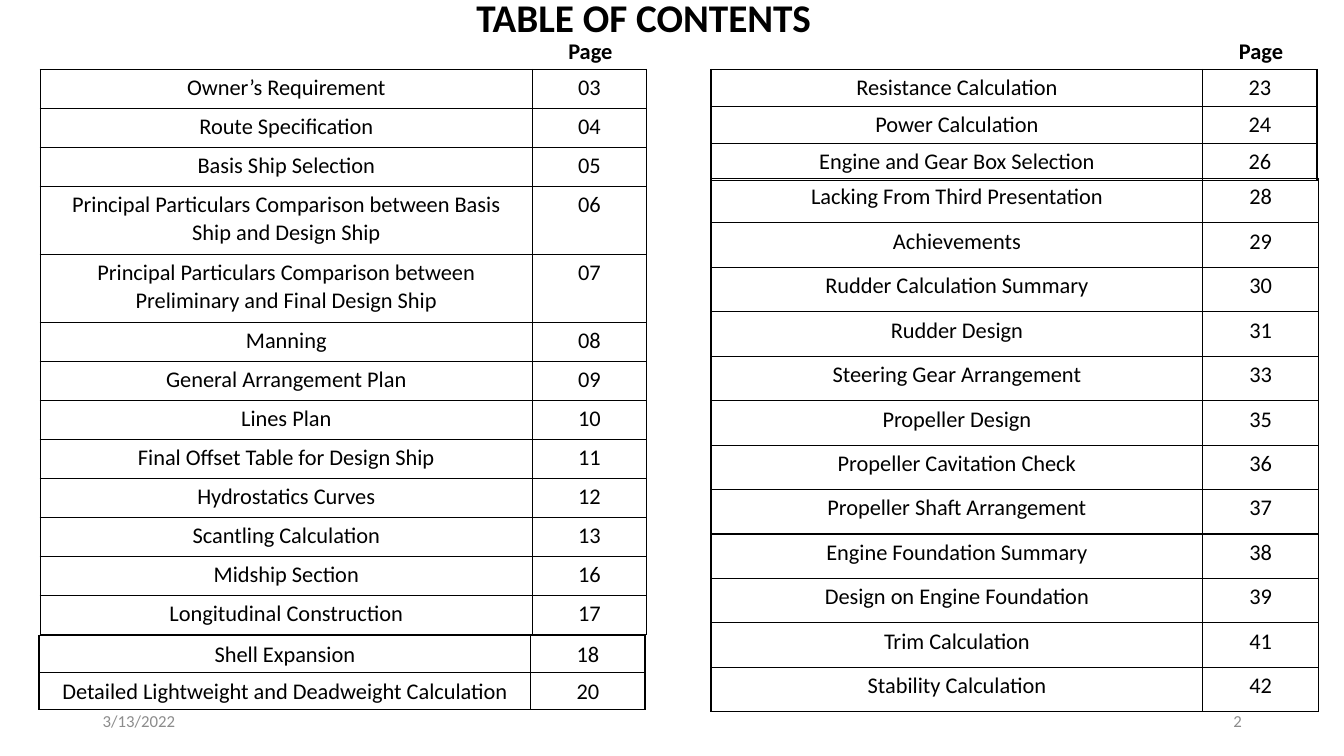
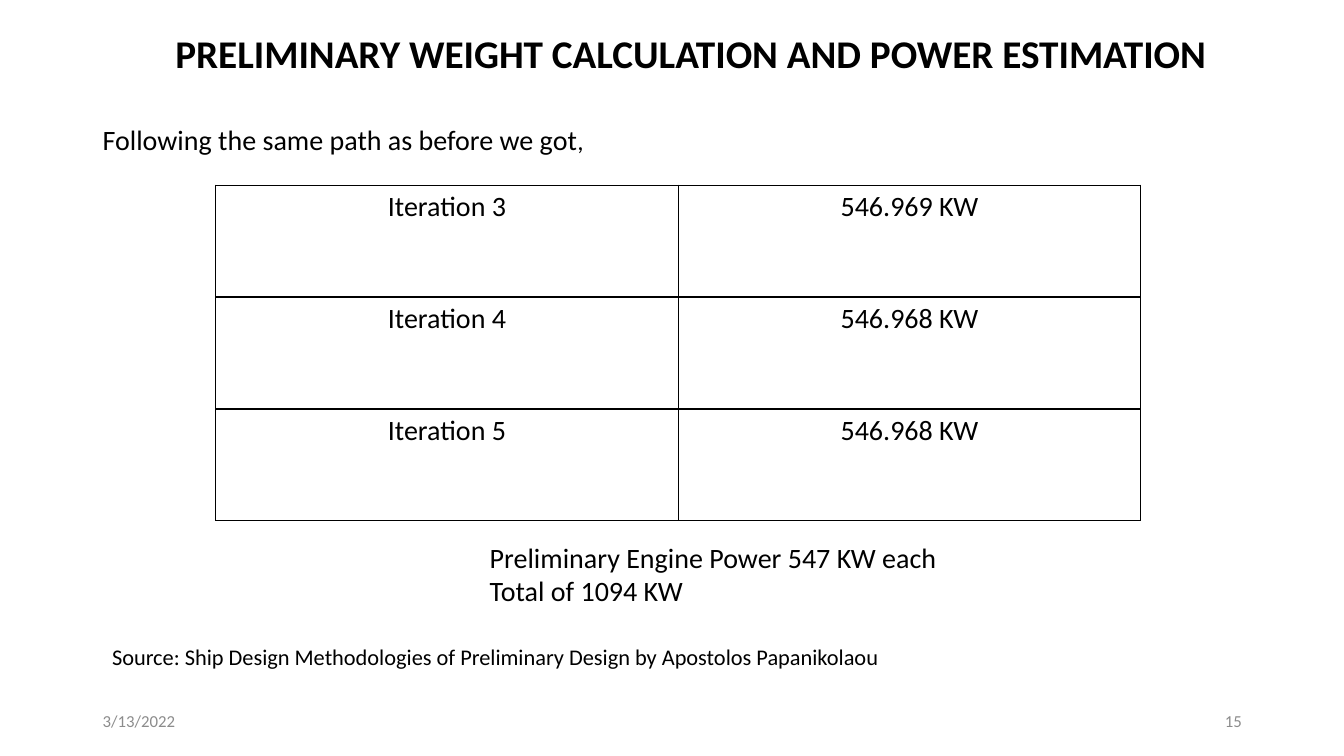
from lxml.etree import SubElement
from pptx import Presentation
from pptx.dml.color import RGBColor
from pptx.enum.text import MSO_ANCHOR as Anchor, MSO_AUTO_SIZE as AutoSize, PP_ALIGN as Align
from pptx.oxml import parse_xml
from pptx.oxml.ns import nsdecls, qn
from pptx.util import Inches, Pt

COLORS = {"ink": "000000", "footer": "8C8C8C", "page": "FFFFFF"}
FONT = "Calibri"
SLIDE_W, SLIDE_H = Inches(13.33), Inches(7.5)
DATE = "3/13/2022"
TITLE_ONLY = 5

TOP = 9.2
LEFT_COLUMN, RIGHT_COLUMN = 3, 52.9
TOPIC_W, PAGE_W = 36.6, 8.5
COMPACT, NORMAL, LOOSE, DOUBLE = 4.89, 5.16, 5.88, 8.99

DESIGN_TOPICS = [
    ("Owner’s Requirement", "03"),
    ("Route Specification", "04"),
    ("Basis Ship Selection", "05"),
    ("Principal Particulars Comparison between Basis Ship and Design Ship", "06"),
    ("Principal Particulars Comparison between Preliminary and Final Design Ship", "07"),
    ("Manning", "08"),
    ("General Arrangement Plan", "09"),
    ("Lines Plan", "10"),
    ("Final Offset Table for Design Ship", "11"),
    ("Hydrostatics Curves", "12"),
    ("Scantling Calculation", "13"),
    ("Midship Section", "16"),
    ("Longitudinal Construction", "17"),
]
WEIGHT_TOPICS = [
    ("Shell Expansion", "18"),
    ("Detailed Lightweight and Deadweight Calculation", "20"),
]
POWER_TOPICS = [
    ("Resistance Calculation", "23"),
    ("Power Calculation", "24"),
    ("Engine and Gear Box Selection", "26"),
]
FINAL_TOPICS = [
    ("Lacking From Third Presentation", "28"),
    ("Achievements", "29"),
    ("Rudder Calculation Summary", "30"),
    ("Rudder Design", "31"),
    ("Steering Gear Arrangement", "33"),
    ("Propeller Design", "35"),
    ("Propeller Cavitation Check", "36"),
    ("Propeller Shaft Arrangement", "37"),
    ("Engine Foundation Summary", "38"),
    ("Design on Engine Foundation", "39"),
    ("Trim Calculation", "41"),
    ("Stability Calculation", "42"),
]
ITERATIONS = [
    ("Iteration 3", "546.969 KW"),
    ("Iteration 4", "546.968 KW"),
    ("Iteration 5", "546.968 KW"),
]


def across(percent):
    return round(SLIDE_W * percent / 100)


def down(percent):
    return round(SLIDE_H * percent / 100)


def area(left, top, width, height):
    return across(left), down(top), across(width), down(height)


def write(frame, lines, size, color="ink", bold=False, align=Align.LEFT):
    frame.text = "\n".join(lines)
    for paragraph in frame.paragraphs:
        paragraph.alignment = align
        font = paragraph.font
        font.name, font.size, font.bold = FONT, Pt(size), bold
        font.color.rgb = RGBColor.from_string(COLORS[color])


def add_text(slide, place, lines, size, anchor=Anchor.TOP, **style):
    frame = slide.shapes.add_textbox(*area(*place)).text_frame
    frame.word_wrap = True
    frame.vertical_anchor = anchor
    write(frame, lines, size, **style)
    return frame


def add_slide(deck, title, title_place, number):
    slide = deck.slides.add_slide(deck.slide_layouts[TITLE_ONLY])
    slide.background.fill.solid()
    slide.background.fill.fore_color.rgb = RGBColor.from_string(COLORS["page"])
    heading = slide.shapes.title
    heading.left, heading.top, heading.width, heading.height = area(*title_place)
    heading.text_frame.auto_size = AutoSize.NONE
    heading.text_frame.vertical_anchor = Anchor.TOP
    write(heading.text_frame, [title], 28, bold=True)
    for left, text, align in ((6.9, DATE, Align.LEFT), (70.65, number, Align.RIGHT)):
        add_text(slide, (left, 92.67, 22.5, 5.33), [text], 12,
                 anchor=Anchor.MIDDLE, color="footer", align=align)
    return slide


def outline(cell):
    properties = cell._tc.get_or_add_tcPr()
    for position, side in enumerate(("lnL", "lnR", "lnT", "lnB")):
        border = parse_xml(f'<a:{side} {nsdecls("a")} w="{Pt(1)}"/>')
        fill = SubElement(border, qn("a:solidFill"))
        SubElement(fill, qn("a:srgbClr"), val=COLORS["ink"])
        properties.insert(position, border)


def add_grid(slide, left, top, widths, heights, entries, size=16):
    place = area(left, top, sum(widths), sum(heights))
    table = slide.shapes.add_table(len(entries), len(widths), *place).table
    table.first_row = table.horz_banding = False
    for column, width in zip(table.columns, widths):
        column.width = across(width)
    for row, height, entry in zip(table.rows, heights, entries):
        row.height = down(height)
        for cell, text in zip(row.cells, entry):
            cell.fill.background()
            outline(cell)
            write(cell.text_frame, [text], size, align=Align.CENTER)


def build_contents(deck):
    slide = add_slide(deck, "TABLE OF CONTENTS", (34.7, -1.6, 46.4, 7.6), "2")
    design_heights = [DOUBLE if topic.startswith("Principal") else NORMAL
                      for topic, _ in DESIGN_TOPICS]
    blocks = [
        (LEFT_COLUMN, TOP, PAGE_W, design_heights, DESIGN_TOPICS),
        (RIGHT_COLUMN, 23.6, 8.6, [LOOSE] * len(FINAL_TOPICS), FINAL_TOPICS),
        (RIGHT_COLUMN, TOP, PAGE_W, [COMPACT] * len(POWER_TOPICS), POWER_TOPICS),
        (2.9, 84.1, PAGE_W, [COMPACT] * len(WEIGHT_TOPICS), WEIGHT_TOPICS),
    ]
    for left, top, page_width, heights, topics in blocks:
        add_grid(slide, left, top, (TOPIC_W, page_width), heights, topics)
    for left in (LEFT_COLUMN, RIGHT_COLUMN):
        add_text(slide, (left + 38.55, 4.3, 5.5, 4.9), ["Page"], 16, bold=True)


def build_power_estimate(deck):
    slide = add_slide(deck, "PRELIMINARY WEIGHT CALCULATION AND POWER ESTIMATION",
                      (12.3, 3.2, 87.7, 7.6), "15")
    add_grid(slide, 16.05, 24.5, [34.42] * 2, [14.8] * 3, ITERATIONS, size=20)
    lead = add_text(slide, (6.9, 15.6, 89, 5.9),
                    ["Following the same path as before we got"], 20)
    comma = lead.paragraphs[0].add_run()
    comma.text = ","
    comma.font.size = Pt(18)
    add_text(slide, (35.7, 70.8, 40, 10.3),
             ["Preliminary Engine Power 547 KW each", "Total of 1094 KW"], 20)
    add_text(slide, (7.6, 84.4, 80.5, 4.9),
             ["Source: Ship Design Methodologies of Preliminary Design by Apostolos Papanikolaou"], 16)


def main():
    deck = Presentation()
    deck.slide_width, deck.slide_height = SLIDE_W, SLIDE_H
    build_contents(deck)
    build_power_estimate(deck)
    deck.save("out.pptx")


if __name__ == "__main__":
    main()
